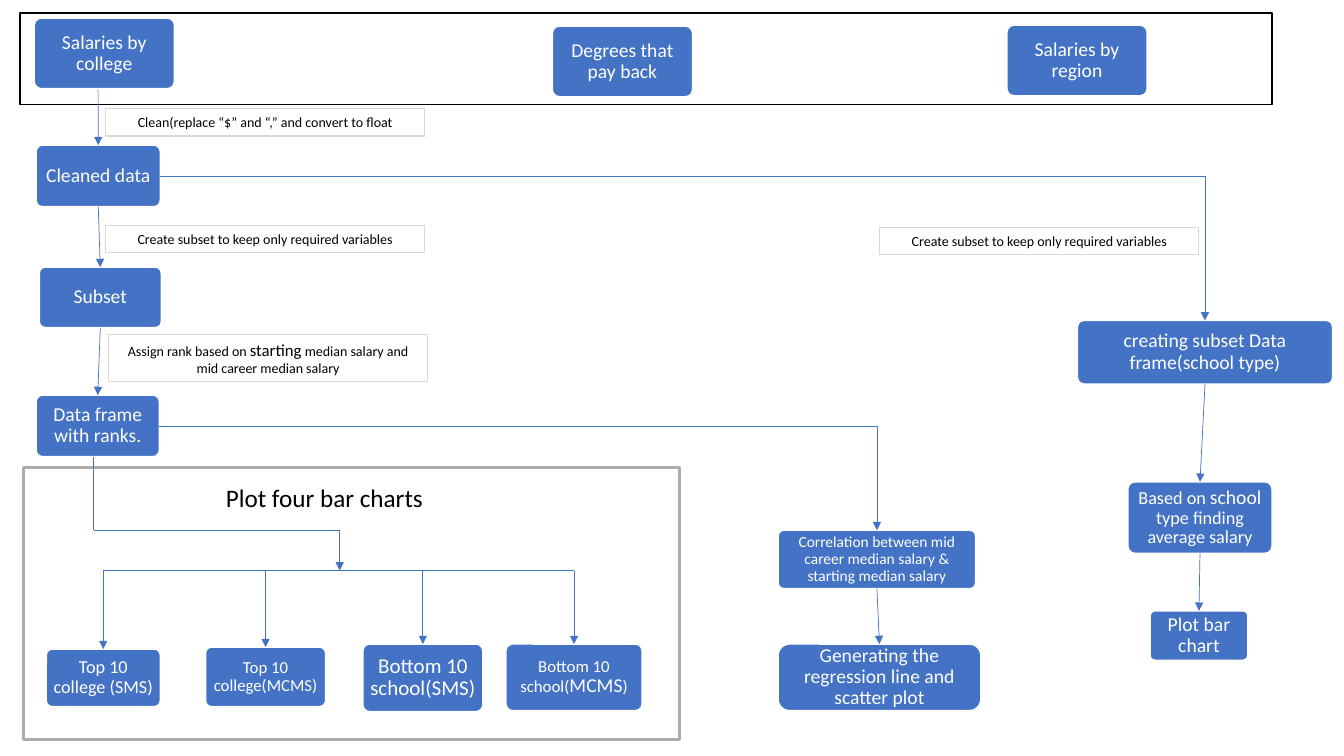
from pptx import Presentation
from pptx import util as u
from pptx.dml.color import RGBColor
from pptx.enum import shapes, text
from pptx.oxml.ns import qn
from lxml import etree

# Grid: 40 columns by 30 rows over the whole slide
SLIDE_WIDTH, SLIDE_HEIGHT = u.Inches(13.333), u.Inches(7.5)
COLUMN, ROW = SLIDE_WIDTH / 40, SLIDE_HEIGHT / 30
FONT = "Calibri"
BLUE, WHITE, BLACK, GREY, PALE = "4472C4", "FFFFFF", "000000", "AFABAB", "D9D9D9"
TOP, BOTTOM, RIGHT = 0, 2, 3
BUS_ROW = 22.64


def color(hex_string):
    return RGBColor.from_string(hex_string)


def place(left, top, width, height):
    return [int(left * COLUMN), int(top * ROW), int(width * COLUMN), int(height * ROW)]


def write(shape, words, size, font_color, align=text.PP_ALIGN.CENTER, spacing=1.0):
    """words is a string, or a list of (words, size) runs."""
    frame = shape.text_frame
    frame.word_wrap = True
    frame.auto_size = text.MSO_AUTO_SIZE.NONE
    paragraph = frame.paragraphs[0]
    paragraph.alignment = align
    paragraph.line_spacing = spacing
    paragraph.font.name = FONT
    paragraph.font.size = u.Pt(size)
    paragraph.font.color.rgb = color(font_color)
    runs = [(words, size)] if isinstance(words, str) else words
    for run_words, run_size in runs:
        run = paragraph.add_run()
        run.text = run_words
        if run_size != size:
            run.font.size = u.Pt(run_size)


def add_outline(slide, area, line_color, line_width):
    """Unfilled rectangle: a frame around boxes or the edge of a note."""
    shape = slide.shapes.add_shape(shapes.MSO_SHAPE.RECTANGLE, *place(*area))
    shape.shadow.inherit = False
    shape.fill.background()
    shape.line.color.rgb = color(line_color)
    shape.line.width = u.Pt(line_width)
    return shape


def add_note(slide, area, words):
    note = add_outline(slide, area, PALE, 0.75)
    note.text_frame.vertical_anchor = text.MSO_ANCHOR.TOP
    write(note, words, 10, BLACK)


def add_step(slide, area, words, size=14, corner=0.1):
    step = slide.shapes.add_shape(shapes.MSO_SHAPE.ROUNDED_RECTANGLE, *place(*area))
    step.shadow.inherit = False
    step.adjustments[0] = corner
    step.fill.solid()
    step.fill.fore_color.rgb = color(BLUE)
    step.line.color.rgb = color(WHITE)
    step.line.width = u.Pt(1)
    frame = step.text_frame
    frame.margin_left = frame.margin_right = u.Inches(0.03)
    frame.margin_top = frame.margin_bottom = u.Inches(0.02)
    frame.vertical_anchor = text.MSO_ANCHOR.MIDDLE
    write(step, words, size, WHITE, spacing=0.9)
    return step


def add_line(slide, start, end, arrow=True, bent=False):
    """Each end is a grid point (column, row) or a joint (shape, side)."""
    kind = shapes.MSO_CONNECTOR.ELBOW if bent else shapes.MSO_CONNECTOR.STRAIGHT
    joined = [not isinstance(point[0], (int, float)) for point in (start, end)]
    ends = [(0, 0) if joint else (int(point[0] * COLUMN), int(point[1] * ROW))
            for joint, point in zip(joined, (start, end))]
    line = slide.shapes.add_connector(kind, *ends[0], *ends[1])
    if joined[0]:
        line.begin_connect(*start)
    if joined[1]:
        line.end_connect(*end)
    line.line.color.rgb = color(BLUE)
    line.line.width = u.Pt(0.5)
    properties = line._element.spPr
    if bent:  # a single corner: across, then down
        properties.find(qn("a:prstGeom")).set("prst", "bentConnector2")
    if arrow:
        etree.SubElement(properties.find(qn("a:ln")), qn("a:tailEnd"), type="triangle")
    etree.SubElement(properties, qn("a:effectLst"))


def main():
    presentation = Presentation()
    presentation.slide_width, presentation.slide_height = SLIDE_WIDTH, SLIDE_HEIGHT
    slide = presentation.slides.add_slide(presentation.slide_layouts[5])

    # Frames and the heading of the bar charts
    add_outline(slide, (0.6, 0.52, 37.26, 3.64), BLACK, 1)
    add_outline(slide, (0.69, 18.56, 19.53, 10.8), GREY, 2)
    title = slide.shapes.title
    title.left, title.top, title.width, title.height = place(6.42, 18.92, 11.31, 1.6)
    title.text_frame.vertical_anchor = text.MSO_ANCHOR.TOP
    write(title, "Plot four bar charts", 18, BLACK, text.PP_ALIGN.LEFT)

    # Data sources
    for left, top, words in [(1.02, 0.72, "Salaries by college"),
                             (16.44, 1.04, "Degrees that pay back"),
                             (29.97, 1, "Salaries by region")]:
        add_step(slide, (left, top, 4.17, 2.8), words)

    # Preparation steps
    cleaned = add_step(slide, (1.08, 5.76, 3.69, 2.44), "Cleaned data")
    subset = add_step(slide, (1.17, 10.6, 3.63, 2.4), "Subset")
    ranks = add_step(slide, (1.08, 15.68, 3.66, 2.44), "Data frame with ranks.")
    add_line(slide, (2.92, 3.56), (cleaned, TOP))

    # Correlation branch
    correlation = add_step(slide, (23.16, 21.04, 5.88, 2.32),
                           "Correlation between mid career median salary & starting median salary", 11)
    regression = add_step(slide, (23.16, 25.56, 6.03, 2.64),
                          "Generating the regression line and scatter plot", corner=0.17)
    add_line(slide, (ranks, RIGHT), (correlation, TOP), bent=True)

    # School type branch
    school_type = add_step(slide, (32.07, 12.72, 7.59, 2.52), "creating subset Data frame(school type)")
    average = add_step(slide, (33.57, 19.12, 4.29, 2.84),
                       [("Based on ", 13), ("school", 14), (" type finding average salary", 13)], 13)
    plot = add_step(slide, (34.23, 24.24, 2.91, 1.96), "Plot bar chart")
    add_line(slide, (cleaned, RIGHT), (school_type, TOP), bent=True)

    # Downward arrows between neighbouring steps
    for upper, lower in [(cleaned, subset), (subset, ranks), (correlation, regression),
                         (school_type, average), (average, plot)]:
        add_line(slide, (upper, BOTTOM), (lower, TOP))

    # Four bar charts hanging from one shared line
    route = [(2.79, 18.12), (2.79, 21.04), (10.11, 21.04), (10.11, BUS_ROW)]
    for start, end in zip(route, route[1:]):
        add_line(slide, start, end, arrow=end == route[-1])
    add_line(slide, (3.08, BUS_ROW), (17.09, BUS_ROW), arrow=False)
    charts = [
        ((1.38, 25.76, 3.39, 2.28), "Top 10 college (SMS)", 13),
        ((6.12, 25.68, 3.57, 2.36), "Top 10 college(MCMS)", 12),
        ((10.8, 25.56, 3.57, 2.68), "Bottom 10 school(SMS)", 15),
        ((15.06, 25.56, 4.05, 2.64), [("Bottom 10 school(", 12), ("MCMS", 14), (")", 12)], 12),
    ]
    for area, words, size in charts:
        chart = add_step(slide, area, words, size)
        add_line(slide, (area[0] + area[2] / 2, BUS_ROW), (chart, TOP))

    # Notes beside the arrows
    keep_required = "Create subset to keep only required variables"
    add_note(slide, (3.15, 4.32, 9.48, 1.08), "Clean(replace “$” and “,” and convert to float")
    add_note(slide, (3.15, 8.96, 9.48, 1.08), keep_required)
    add_note(slide, (3.24, 13.28, 9.48, 1.88),
             [("Assign rank based on ", 10), ("starting", 12),
              (" median salary and mid career median salary", 10)])
    add_note(slide, (26.19, 9.04, 9.48, 1.08), keep_required)

    presentation.save("out.pptx")


if __name__ == "__main__":
    main()
